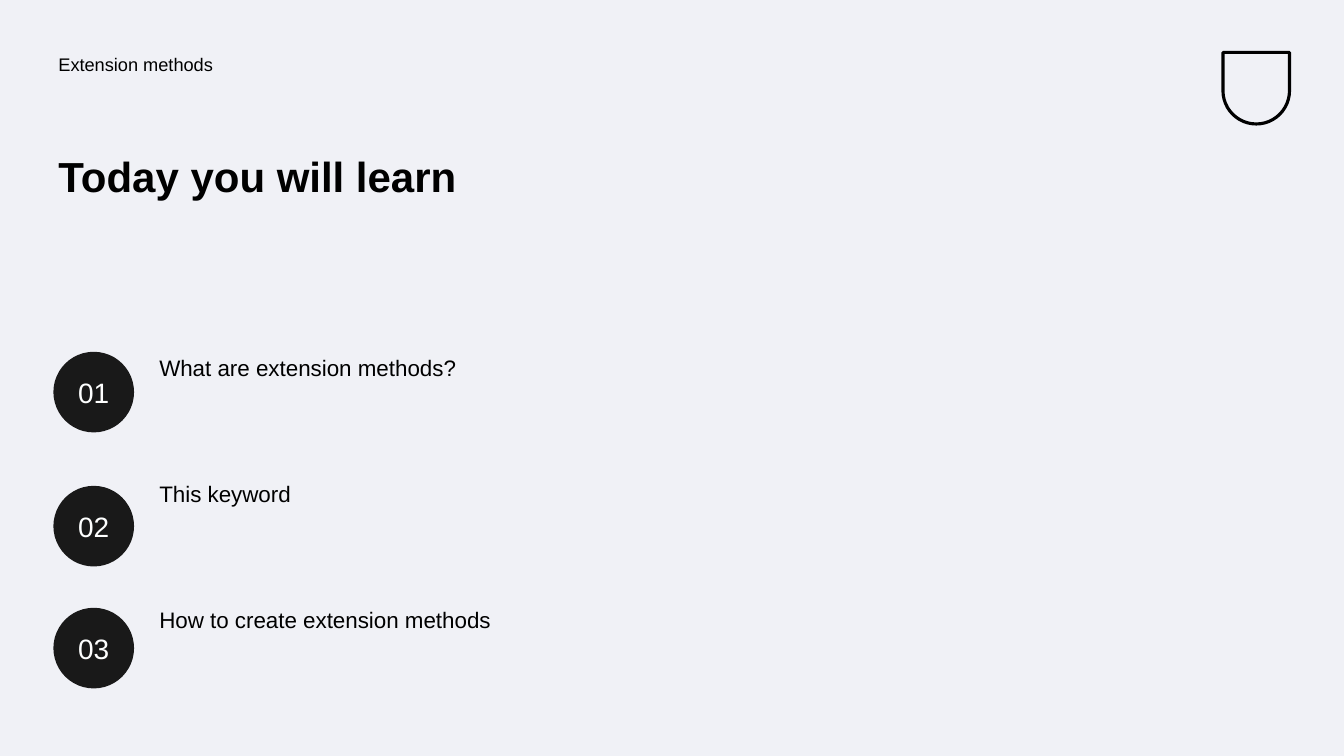
from dataclasses import dataclass

import pptx
import pptx.dml.color
import pptx.enum.shapes
import pptx.enum.text
import pptx.util

Inches = pptx.util.Inches
Align = pptx.enum.text.PP_ALIGN
Anchor = pptx.enum.text.MSO_ANCHOR
Shape = pptx.enum.shapes.MSO_SHAPE


@dataclass(frozen=True)
class Theme:
    font: str = "Arial"
    background: str = "F0F1F6"
    ink: str = "000000"
    badge: str = "191919"
    badge_text: str = "FEFFFF"
    label_size: int = 13
    title_size: int = 30
    topic_size: int = 16
    badge_size: int = 20


THEME = Theme()
LEFT = 0.53
TOPIC_TOP, TOPIC_STEP = 3.49, 1.25
BADGE_SIDE = 0.8
# Badge top and wording of each topic
TOPICS = [
    (3.49, "What are extension methods?"),
    (4.82, "This keyword"),
    (6.03, "How to create extension methods"),
]


def color(value):
    return pptx.dml.color.RGBColor.from_string(value)


def write(box, text, size, ink=THEME.ink, bold=False, align=Align.LEFT,
          anchor=Anchor.TOP, line_spacing=0.9, inset=0.05):
    frame = box.text_frame
    frame.word_wrap = True
    frame.auto_size = pptx.enum.text.MSO_AUTO_SIZE.NONE
    frame.vertical_anchor = anchor
    frame.margin_left = frame.margin_right = Inches(inset)
    frame.margin_top = frame.margin_bottom = Inches(inset)
    para = frame.paragraphs[0]
    para.text = text
    para.alignment = align
    para.line_spacing = line_spacing
    para.font.name = THEME.font
    para.font.size = pptx.util.Pt(size)
    para.font.bold = bold
    para.font.color.rgb = color(ink)


def add_title(page, text):
    title = page.shapes.title
    title.left, title.top = Inches(LEFT), Inches(1.5)
    title.width, title.height = Inches(5.64), Inches(1.49)
    write(title, text, THEME.title_size, bold=True)


def add_text(page, text, left, top, width, height, size):
    box = page.shapes.add_textbox(Inches(left), Inches(top), Inches(width), Inches(height))
    write(box, text, size)


def add_badge(page, text, top):
    badge = page.shapes.add_shape(Shape.OVAL, Inches(LEFT), Inches(top),
                                  Inches(BADGE_SIDE), Inches(BADGE_SIDE))
    badge.shadow.inherit = False
    badge.fill.solid()
    badge.fill.fore_color.rgb = color(THEME.badge)
    badge.line.fill.background()
    write(badge, text, THEME.badge_size, THEME.badge_text, align=Align.CENTER,
          anchor=Anchor.MIDDLE, line_spacing=1.0, inset=0)


def add_emblem(page):
    emblem = page.shapes.add_shape(Shape.ROUND_2_SAME_RECTANGLE, Inches(12.13), Inches(0.52),
                                   Inches(0.66), Inches(0.71))
    emblem.adjustments[0], emblem.adjustments[1] = 0, 0.5
    emblem.shadow.inherit = False
    emblem.fill.background()
    emblem.line.color.rgb = color(THEME.ink)
    emblem.line.width = pptx.util.Pt(2.25)


def main():
    deck = pptx.Presentation()
    deck.slide_width, deck.slide_height = Inches(13.33), Inches(7.5)
    page = deck.slides.add_slide(deck.slide_layouts.get_by_name("Title Only"))
    page.background.fill.solid()
    page.background.fill.fore_color.rgb = color(THEME.background)

    # Header
    add_emblem(page)
    add_text(page, "Extension methods", LEFT, 0.5, 6.14, 0.5, THEME.label_size)
    add_title(page, "Today you will learn")

    # Numbered topics
    for index, (badge_top, topic) in enumerate(TOPICS):
        add_text(page, topic, 1.53, TOPIC_TOP + index * TOPIC_STEP, 4.63, 0.99, THEME.topic_size)
        add_badge(page, f"{index + 1:02}", badge_top)

    deck.save("out.pptx")


if __name__ == "__main__":
    main()
